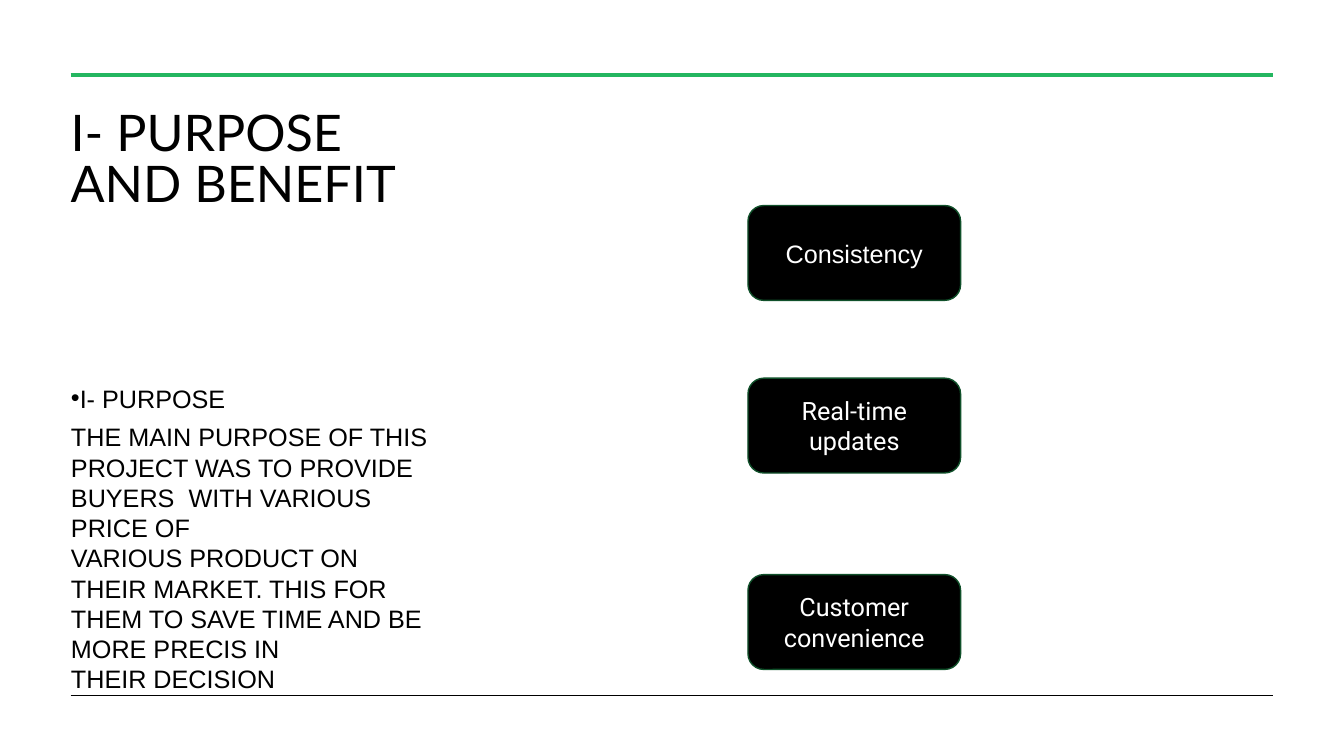
from dataclasses import dataclass

from lxml.etree import SubElement
from pptx import Presentation
from pptx.dml.color import RGBColor
from pptx.enum.shapes import MSO_CONNECTOR, MSO_SHAPE
from pptx.enum.text import MSO_ANCHOR, PP_ALIGN
from pptx.oxml.ns import qn
from pptx.util import Cm, Pt

BLACK, WHITE, GREEN, DARK_GREEN = "000000", "FFFFFF", "24B660", "10502A"
RULE_LEFT, RULE_RIGHT = 1.78, 32.08
CARD_LEFT, CARD_WIDTH, CARD_HEIGHT = 18.85, 5.36, 2.39
NBSP = chr(160)  # keeps two words on one line


@dataclass
class Rule:
    top: float
    color: str
    weight: float


@dataclass
class Card:
    text: str
    top: float
    font: str = "Roboto"


RULES = [Rule(1.88, GREEN, 3), Rule(17.53, BLACK, 0.5)]
CARDS = [
    Card("Consistency", 5.18, "Arial"),
    Card("Real-time updates", 9.53),
    Card("Customer convenience", 14.48),
]
PURPOSE = (
    f"THE MAIN PURPOSE OF THIS PROJECT WAS TO PROVIDE BUYERS{NBSP} WITH VARIOUS "
    f"PRICE OF VARIOUS{NBSP}PRODUCT ON THEIR MARKET. THIS FOR THEM TO SAVE TIME "
    f"AND BE MORE PRECIS IN THEIR{NBSP}DECISION"
)


def rgb(color: str) -> RGBColor:
    return RGBColor.from_string(color)


def write(p, text: str, *, font: str = "Arial", size: float = 18,
          color: str = BLACK, align=PP_ALIGN.LEFT, spacing: float = 1.0,
          after: float = 0) -> None:
    p.alignment, p.line_spacing, p.space_after = align, spacing, Pt(after)
    r = p.add_run()
    r.text = text
    r.font.name, r.font.size = font, Pt(size)
    r.font.color.rgb = rgb(color)


def add_bullet(p) -> None:
    pPr = p._p.get_or_add_pPr()
    pPr.set("marL", "0")
    pPr.set("indent", str(-Cm(0.64)))
    SubElement(pPr, qn("a:buFont")).set("typeface", "Arial")
    SubElement(pPr, qn("a:buChar")).set("char", "•")


def add_text_box(s, left: float, top: float, width: float, height: float):
    tf = s.shapes.add_textbox(Cm(left), Cm(top), Cm(width), Cm(height)).text_frame
    tf.word_wrap = True
    return tf


def add_rule(s, rule: Rule) -> None:
    line = s.shapes.add_connector(MSO_CONNECTOR.STRAIGHT, Cm(RULE_LEFT), Cm(rule.top),
                                  Cm(RULE_RIGHT), Cm(rule.top))
    line.line.color.rgb = rgb(rule.color)
    line.line.width = Pt(rule.weight)
    SubElement(line._element.spPr, qn("a:effectLst"))


def add_card(s, card: Card) -> None:
    sp = s.shapes.add_shape(MSO_SHAPE.ROUNDED_RECTANGLE, Cm(CARD_LEFT), Cm(card.top),
                            Cm(CARD_WIDTH), Cm(CARD_HEIGHT))
    sp.shadow.inherit = False
    sp.fill.solid()
    sp.fill.fore_color.rgb = rgb(BLACK)
    sp.line.color.rgb = rgb(DARK_GREEN)
    sp.line.width = Pt(1)
    tf = sp.text_frame
    tf.word_wrap = True
    tf.vertical_anchor = MSO_ANCHOR.MIDDLE
    write(tf.paragraphs[0], card.text, font=card.font, color=WHITE,
          align=PP_ALIGN.CENTER)


def main() -> None:
    prs = Presentation()
    prs.slide_width, prs.slide_height = Cm(33.87), Cm(19.05)
    s = prs.slides.add_slide(prs.slide_layouts[6])

    # Title
    tf = add_text_box(s, 1.53, 2.65, 9.83, 6.25)
    write(tf.paragraphs[0], "I- PURPOSE AND BENEFIT", font="Lato", size=36,
          spacing=0.85)

    # Purpose text
    tf = add_text_box(s, 1.54, 9.53, 9.78, 7.32)
    p = tf.paragraphs[0]
    write(p, "I- PURPOSE", after=6)
    add_bullet(p)
    write(tf.add_paragraph(), PURPOSE, after=6)

    # Rules at top and bottom
    for rule in RULES:
        add_rule(s, rule)

    # Benefit cards
    for card in CARDS:
        add_card(s, card)

    prs.save("out.pptx")


if __name__ == "__main__":
    main()
